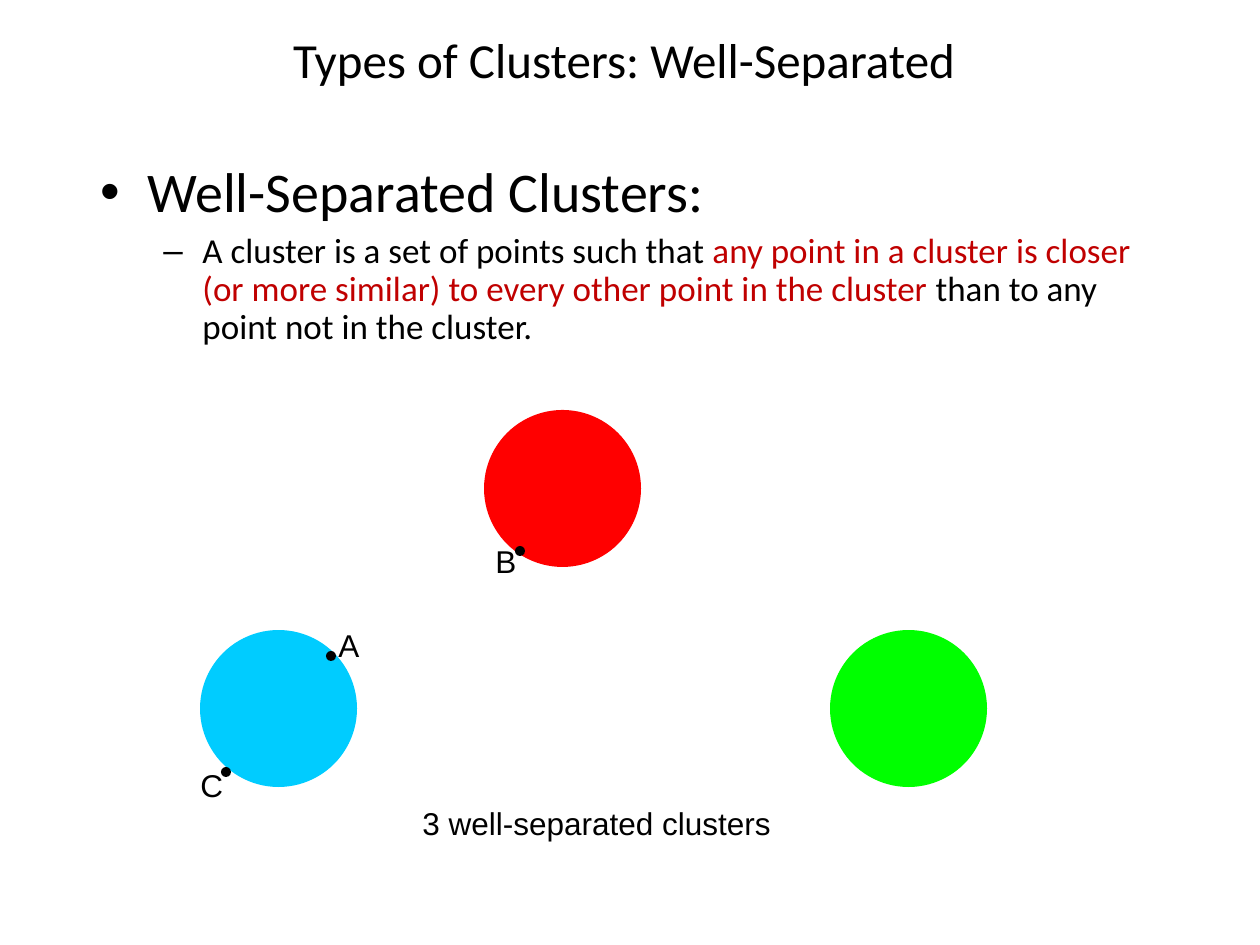
"""Build the slide on well-separated clusters."""
from dataclasses import dataclass

from lxml.etree import SubElement
from pptx import Presentation
from pptx.dml.color import RGBColor
from pptx.enum.shapes import MSO_SHAPE
from pptx.enum.text import MSO_ANCHOR, MSO_AUTO_SIZE, PP_ALIGN
from pptx.oxml.ns import qn
from pptx.util import Emu, Inches, Pt

PIXEL = Inches(1) / 126
BLACK = "000000"
CLUSTER_SIZE = 157
POINT_SIZE = 10


@dataclass
class Disc:
    left: int
    top: int
    size: int
    color: str


@dataclass
class Caption:
    text: str
    left: int
    top: int
    width: int = 42
    height: int = 50


@dataclass
class Bullet:
    mark: str
    level: int
    margin: int
    hanging: int
    size: int
    before: int
    phrases: list[tuple[str, str]]


def px(length: int) -> Emu:
    """Turn pixels into EMU."""
    return Emu(round(length * PIXEL))


def rgb(color: str) -> RGBColor:
    """Turn a hex string into a colour."""
    return RGBColor.from_string(color)


def apply(target, **values) -> None:
    """Set each named attribute of the target."""
    for key, value in values.items():
        setattr(target, key, value)


def place(shape, left: int, top: int, width: int, height: int) -> None:
    """Position a shape by pixels."""
    apply(shape, left=px(left), top=px(top), width=px(width), height=px(height))


def write(paragraph, text: str, font: str, size: int, color: str = BLACK) -> None:
    """Add one formatted run."""
    run = paragraph.add_run()
    run.text = text
    apply(run.font, name=font, size=Pt(size))
    run.font.color.rgb = rgb(color)


def draw_disc(slide, disc: Disc) -> None:
    """Draw a filled circle without outline."""
    circle = slide.shapes.add_shape(
        MSO_SHAPE.OVAL, px(disc.left), px(disc.top), px(disc.size), px(disc.size))
    circle.shadow.inherit = False
    circle.fill.solid()
    circle.fill.fore_color.rgb = rgb(disc.color)
    circle.line.fill.background()


def draw_caption(slide, caption: Caption) -> None:
    """Add a short Arial text."""
    frame = slide.shapes.add_textbox(
        px(caption.left), px(caption.top), px(caption.width), px(caption.height)).text_frame
    apply(frame, word_wrap=True, auto_size=MSO_AUTO_SIZE.SHAPE_TO_FIT_TEXT)
    frame.paragraphs[0].space_before = Pt(11.2)
    write(frame.paragraphs[0], caption.text, "Arial", 18)


def write_bullet(paragraph, bullet: Bullet) -> None:
    """Fill a paragraph with a bulleted text."""
    apply(paragraph, level=bullet.level, line_spacing=0.9, space_before=Pt(bullet.before))
    properties = paragraph._p.get_or_add_pPr()
    properties.set("marL", str(px(bullet.margin)))
    properties.set("indent", str(-px(bullet.hanging)))
    SubElement(SubElement(properties, qn("a:buClr")), qn("a:srgbClr"), val=BLACK)
    SubElement(properties, qn("a:buFont"), typeface="Arial")
    SubElement(properties, qn("a:buChar"), char=bullet.mark)
    for text, color in bullet.phrases:
        write(paragraph, text, "Calibri", bullet.size, color)


BULLETS = [
    Bullet("•", 0, 47, 47, 32, 8, [("Well-Separated Clusters: ", BLACK)]),
    Bullet("–", 1, 102, 39, 20, 5, [
        ("A cluster is a set of points such that ", BLACK),
        ("any point in a cluster is closer (or more similar) to every other point "
         "in the cluster ", "C00000"),
        ("than to any point not in the cluster. ", BLACK),
    ]),
]
CLUSTERS = [
    Disc(200, 630, CLUSTER_SIZE, "00CCFF"),
    Disc(830, 630, CLUSTER_SIZE, "00FF00"),
    Disc(484, 410, CLUSTER_SIZE, "FF0000"),
]
POINTS = [Disc(left, top, POINT_SIZE, BLACK)
          for left, top in [(515, 546), (326, 651), (221, 767)]]
CAPTIONS = [
    Caption("3 well-separated clusters", 410, 798, 441),
    Caption("A", 326, 620),
    Caption("B", 483, 536),
    Caption("C", 188, 760),
]

presentation = Presentation()
apply(presentation, slide_width=px(1260), slide_height=px(945))
slide = presentation.slides.add_slide(presentation.slide_layouts[5])

title = slide.shapes.title
place(title, 53, 21, 1142, 76)
apply(title.text_frame, word_wrap=True, auto_size=MSO_AUTO_SIZE.NONE,
      vertical_anchor=MSO_ANCHOR.MIDDLE)
heading = title.text_frame.paragraphs[0]
heading.alignment = PP_ALIGN.CENTER
write(heading, "Types of Clusters: Well-Separated", "Calibri", 28)

definition = slide.shapes.add_textbox(px(88), px(158), px(1103), px(704)).text_frame
definition.word_wrap = True
for index, bullet in enumerate(BULLETS):
    write_bullet(definition.add_paragraph() if index else definition.paragraphs[0], bullet)

for disc in CLUSTERS + POINTS:
    draw_disc(slide, disc)
for caption in CAPTIONS:
    draw_caption(slide, caption)

presentation.save("out.pptx")
